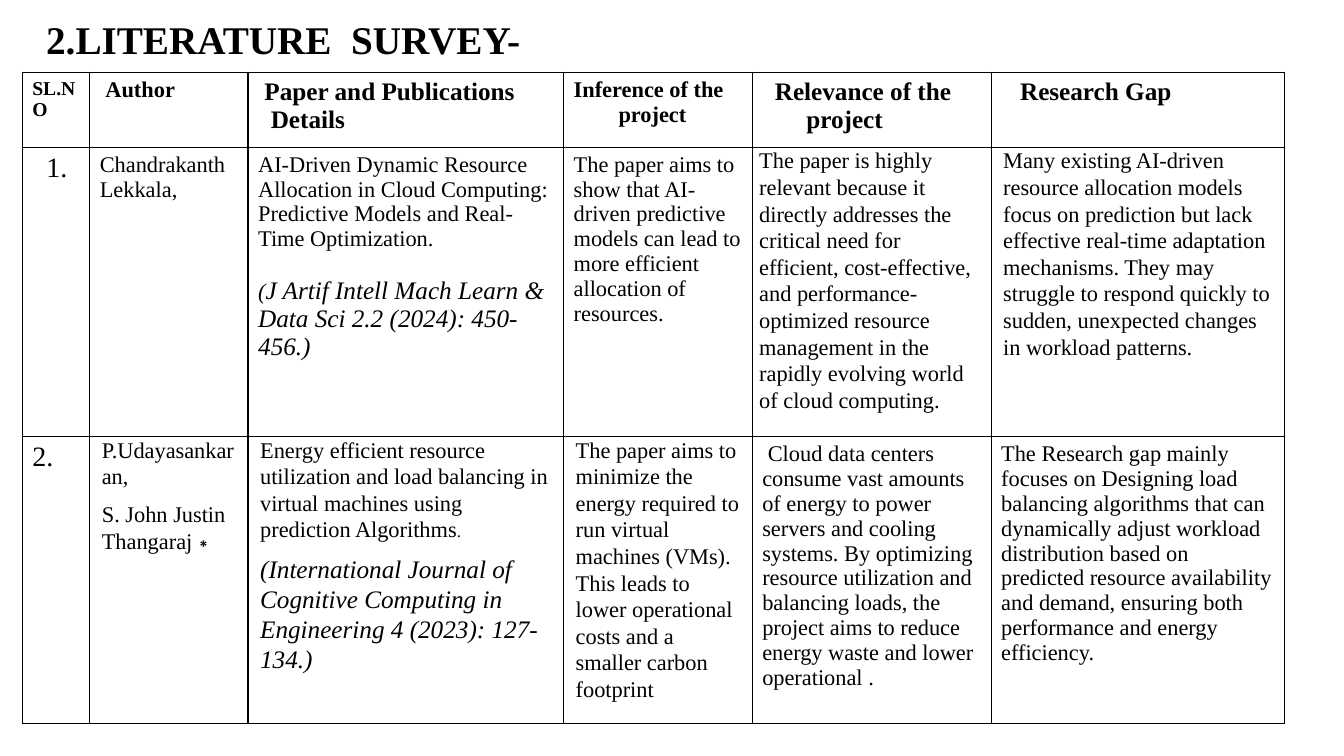
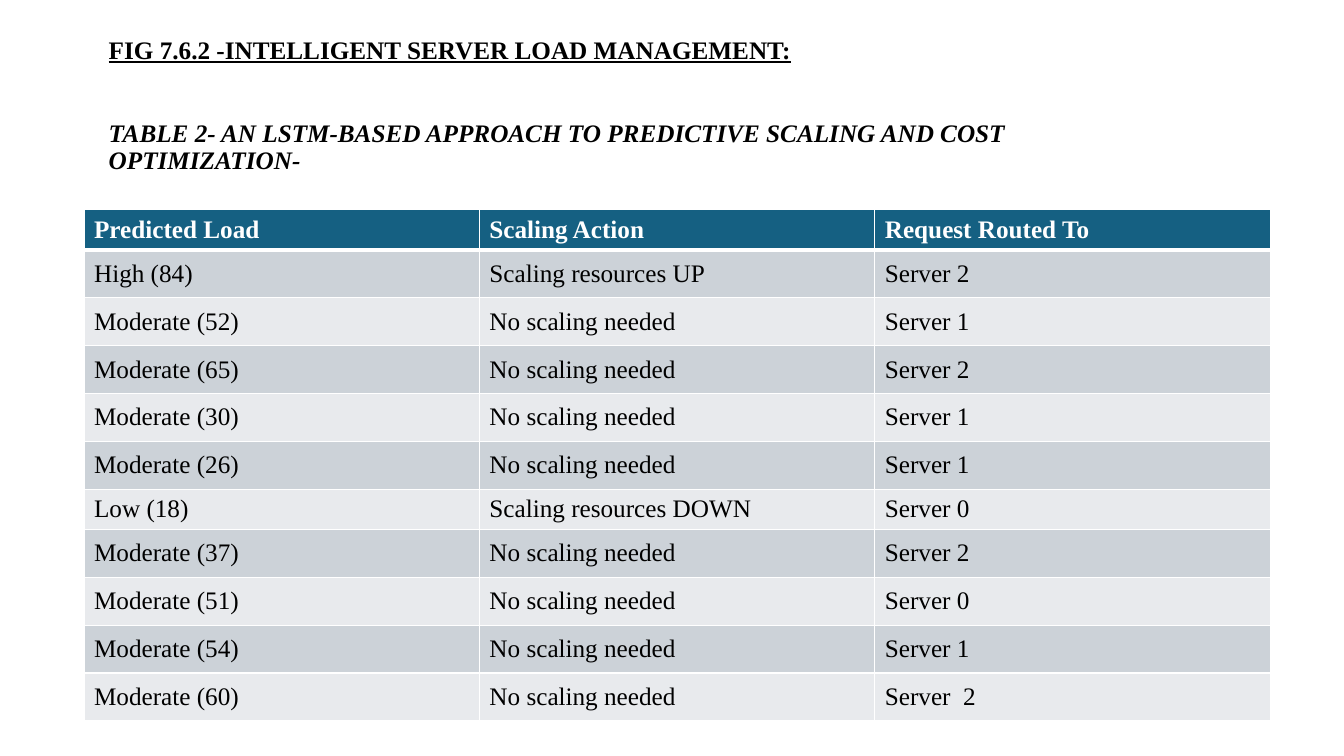
from dataclasses import dataclass
from lxml.etree import SubElement as Sub
from pptx import Presentation as Deck
from pptx.dml.color import RGBColor as Rgb
from pptx.enum.text import MSO_ANCHOR as Anchor
from pptx.oxml.ns import qn
from pptx.util import Inches, Pt

HUES = {"ink": "000000", "paper": "FFFFFF", "head": "156082",
        "dark": "CCD2D8", "light": "E8EAED"}
FONT = "Times New Roman"


@dataclass
class Para:
    text: str
    size: float = 16
    bold: bool = False
    slant: bool = False
    under: bool = False
    hue: str = "ink"
    pad: float = 0       # left indent, points
    first: float = 0     # extra indent of the first line, points
    before: float = 0
    after: float = 0
    line: float = 1.0
    tail: str = ""       # closing run in its own size
    last: float = 16


@dataclass
class Cell:
    paras: list
    side: float = 0.1    # left and right margin, inches
    top: float = 0.05
    fill: str = ""
    mid: bool = False


class Show:
    """Holds the style and the current slide; lengths are percent of it."""

    def __init__(self):
        self.deck = Deck()
        self.deck.slide_width = Inches(13.33)
        self.deck.slide_height = Inches(7.5)
        self.slide = None

    def page(self):
        self.slide = self.deck.slides.add_slide(self.deck.slide_layouts[6])

    def wide(self, part):
        return round(self.deck.slide_width * part / 100)

    def high(self, part):
        return round(self.deck.slide_height * part / 100)

    def words(self, frame, paras):
        frame.word_wrap = True
        for n, item in enumerate(paras):
            para = frame.add_paragraph() if n else frame.paragraphs[0]
            para.text = item.text
            if item.tail:
                para.add_run().text = item.tail
            para.line_spacing = item.line
            para.space_before = Pt(item.before)
            para.space_after = Pt(item.after)
            props = para._p.get_or_add_pPr()
            props.set("marL", str(Pt(item.pad)))
            props.set("indent", str(Pt(item.first)))
            for run, size in zip(para.runs, (item.size, item.last)):
                font = run.font
                font.name, font.size = FONT, Pt(size)
                font.bold, font.italic = item.bold, item.slant
                font.underline = item.under
                font.color.rgb = Rgb.from_string(HUES[item.hue])

    def title(self, x, y, w, h, paras, anchor=Anchor.TOP):
        box = self.slide.shapes.add_textbox(
            self.wide(x), self.high(y), self.wide(w), self.high(h))
        box.text_frame.vertical_anchor = anchor
        self.words(box.text_frame, paras)

    def edge(self, cell, hue, widths):
        props = cell._tc.get_or_add_tcPr()
        for n, (side, width) in enumerate(zip("LRTB", widths)):
            line = Sub(props, qn(f"a:ln{side}"), w=str(Pt(width)))
            fill = Sub(line, qn("a:solidFill"))
            Sub(fill, qn("a:srgbClr"), val=HUES[hue])
            props.insert(n, line)

    def table(self, x, y, cols, rows, cells, hue, rule=1):
        """Draw a grid; rule is the line width below the first row."""
        grid = self.slide.shapes.add_table(
            len(rows), len(cols), self.wide(x), self.high(y),
            self.wide(sum(cols)), self.high(sum(rows))).table
        grid.first_row = grid.horz_banding = False
        for col, part in zip(grid.columns, cols):
            col.width = self.wide(part)
        for row, part in zip(grid.rows, rows):
            row.height = self.high(part)
        for r, line in enumerate(cells):
            for c, item in enumerate(line):
                cell = grid.cell(r, c)
                cell.margin_left = cell.margin_right = Inches(item.side)
                cell.margin_top = cell.margin_bottom = Inches(item.top)
                cell.vertical_anchor = Anchor.MIDDLE if item.mid else Anchor.TOP
                if item.fill:
                    cell.fill.solid()
                    cell.fill.fore_color.rgb = Rgb.from_string(HUES[item.fill])
                else:
                    cell.fill.background()
                self.edge(cell, hue, (1, 1, rule if r == 1 else 1,
                                      rule if r == 0 else 1))
                self.words(cell.text_frame, item.paras)


def head(size, *lines):
    """Header cell from (text, indent) pairs."""
    return Cell([Para(text, size, bold=True, pad=pad) for text, pad in lines])


def plain(text, **style):
    return Cell([Para(text, **style)])


def loose(*paras, side=0.12):
    """Cell with open line spacing and no top margin."""
    for para in paras:
        para.line, para.after = 1.07, 8
    return Cell(list(paras), side, 0)


def survey(show):
    show.page()
    show.title(2.7, 0.8, 86, 9.33,
               [Para("2.LITERATURE  SURVEY-", 28, bold=True, line=0.9)],
               Anchor.MIDDLE)
    cells = [
        [head(14, ("SL.NO", 0)),
         head(16, ("Author", 4)),
         head(18, ("Paper and Publications", 4.5), ("Details", 9)),
         head(16, ("Inference of the", 0), ("project", 32)),
         head(18, ("Relevance of the", 9), ("project", 31.5)),
         head(18, ("Research Gap", 13.5))],
        [plain("1.", size=20, pad=10),
         plain("Chandrakanth Lekkala,"),
         Cell([Para("AI-Driven Dynamic Resource Allocation in Cloud Computing: "
                    "Predictive Models and Real-Time Optimization."),
               Para("(", slant=True, before=18, last=18,
                    tail="J Artif Intell Mach Learn & Data Sci 2.2 (2024): "
                         "450-456.)")]),
         plain("The paper aims to show that AI-driven predictive models can "
               "lead to more efficient allocation of resources."),
         loose(Para("The paper is highly relevant because it directly addresses "
                    "the critical need for efficient, cost-effective, and "
                    "performance-optimized resource management in the rapidly "
                    "evolving world of cloud computing."), side=0.07),
         loose(Para("Many existing AI-driven resource allocation models focus on "
                    "prediction but lack effective real-time adaptation "
                    "mechanisms. They may struggle to respond quickly to sudden, "
                    "unexpected changes in workload patterns."))],
        [plain("2.", size=20),
         loose(Para("P.Udayasankaran,"), Para("S. John Justin Thangaraj∗")),
         loose(Para("Energy efficient resource utilization and load balancing in "
                    "virtual machines using prediction Algorithms",
                    tail=".", last=12),
               Para("(International Journal of Cognitive Computing in "
                    "Engineering 4 (2023): 127-134.)", 18, slant=True)),
         loose(Para("The paper aims to minimize the energy required to run "
                    "virtual machines (VMs). This leads to lower operational "
                    "costs and a smaller carbon footprint")),
         plain("Cloud data centers consume vast amounts of energy to power "
               "servers and cooling systems. By optimizing resource utilization "
               "and balancing loads, the project aims to reduce energy waste and "
               "lower operational .", first=4),
         plain("The Research gap mainly focuses on Designing load balancing "
               "algorithms that can dynamically adjust workload distribution "
               "based on predicted resource availability and demand, ensuring "
               "both performance and energy efficiency.")],
    ]
    show.table(1.65, 9.6, [5.03, 11.78, 23.48, 14.03, 17.78, 21.83],
               [9.87, 38.27, 37.2], cells, "ink")


def loads(show):
    show.page()
    show.title(7.35, 4.3, 79.6, 20, [
        Para("FIG 7.6.2 -INTELLIGENT SERVER LOAD MANAGEMENT:", 18, bold=True,
             under=True, line=0.9),
        Para("TABLE 2- AN LSTM-BASED APPROACH TO PREDICTIVE SCALING AND COST "
             "OPTIMIZATION-", 18, bold=True, slant=True, before=40, line=0.9)])
    none = "No scaling needed"
    data = [
        ("Predicted Load", "Scaling Action", "Request Routed To"),
        ("High (84)", "Scaling resources UP", "Server 2"),
        ("Moderate (52)", none, "Server 1"),
        ("Moderate (65)", none, "Server 2"),
        ("Moderate (30)", none, "Server 1"),
        ("Moderate (26)", none, "Server 1"),
        ("Low (18)", "Scaling resources DOWN", "Server 0"),
        ("Moderate (37)", none, "Server 2"),
        ("Moderate (51)", none, "Server 0"),
        ("Moderate (54)", none, "Server 1"),
        ("Moderate (60)", none, "Server  2"),
    ]
    cells = []
    for n, line in enumerate(data):
        fill = ("light", "dark")[n % 2] if n else "head"
        hue = "ink" if n else "paper"
        cells.append([Cell([Para(text, 18, bold=n == 0, hue=hue)],
                           fill=fill, mid=True) for text in line])
    # The header and the "Low" row are shorter than the rest
    rows = [5.07 if n in (0, 6) else 6.33 for n in range(len(data))]
    show.table(6.25, 27.73, [29.42] * 3, rows, cells, "paper", rule=3)


def main():
    show = Show()
    survey(show)
    loads(show)
    show.deck.save("out.pptx")


if __name__ == "__main__":
    main()
